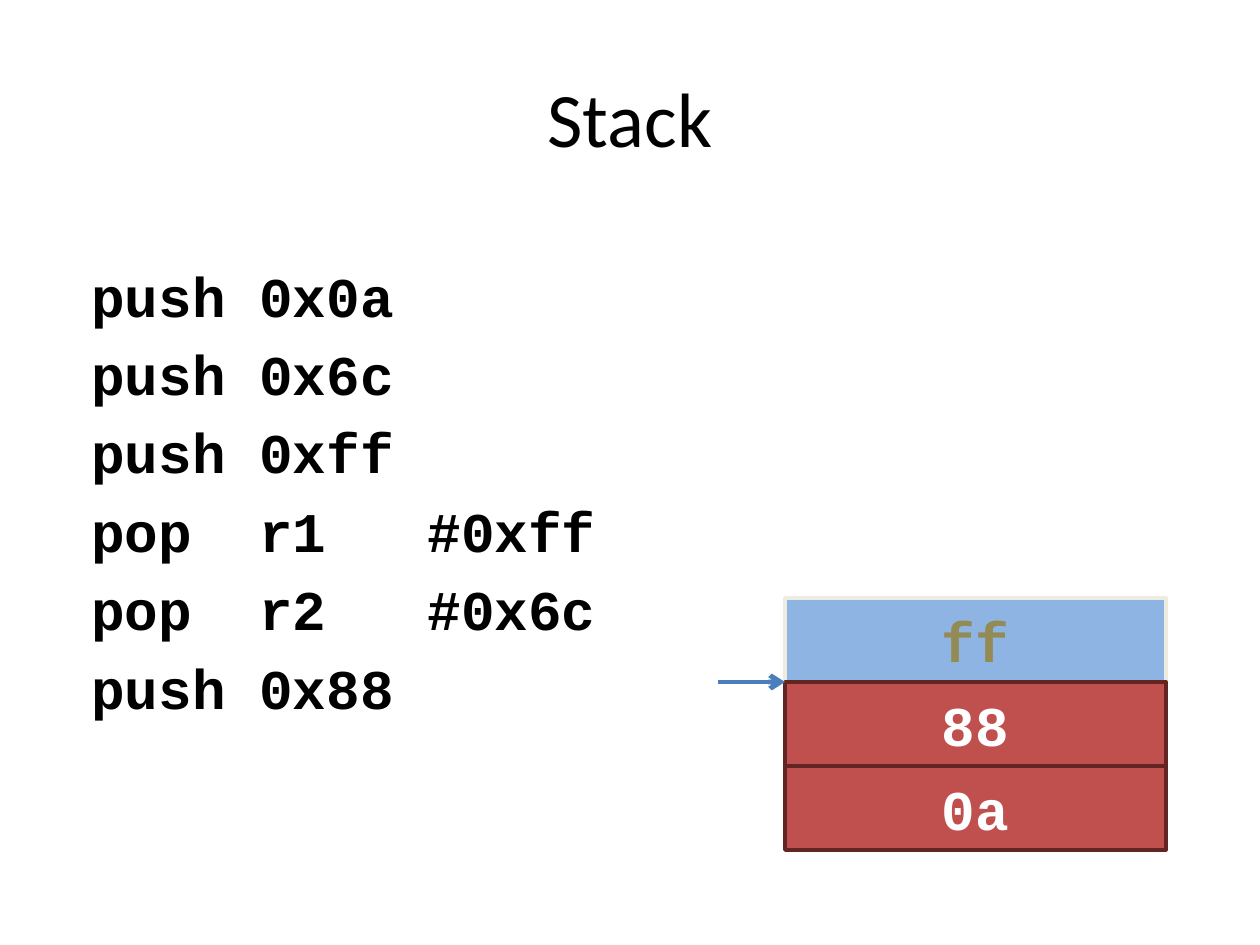
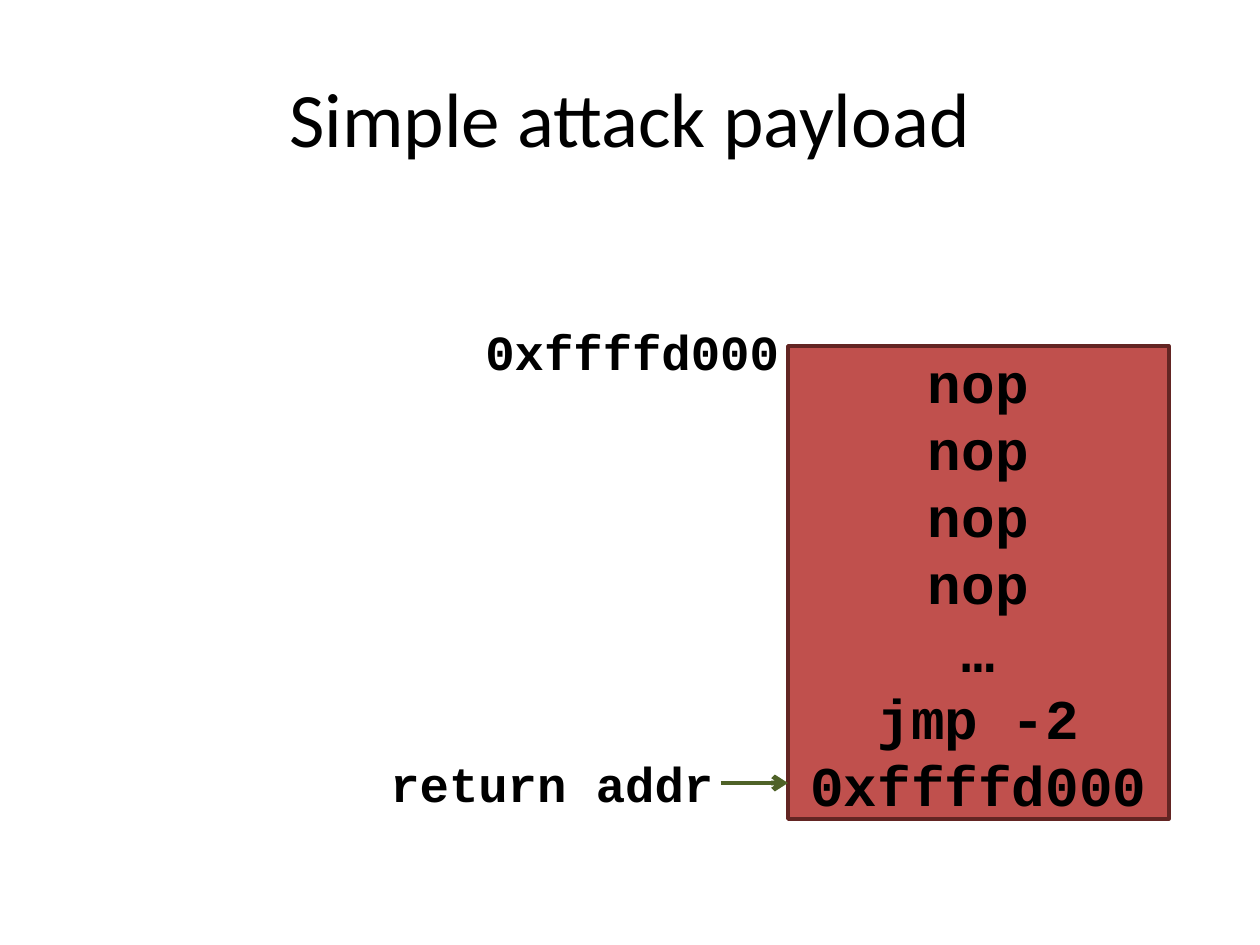
"""Build two slides on the stack and a simple attack payload."""
from dataclasses import dataclass

import pptx
import pptx.dml.color
import pptx.enum.shapes
import pptx.enum.text
import pptx.oxml.ns
import pptx.presentation
import pptx.shapes.base
import pptx.slide
import pptx.text.text
import pptx.util
from lxml import etree

ALIGN = pptx.enum.text.PP_ALIGN
ANCHOR = pptx.enum.text.MSO_ANCHOR
EMU_PER_PX = 914400 / 126
COLOURS = {
    "black": "000000",
    "white": "FFFFFF",
    "popped_fill": "8EB4E3",
    "popped_line": "EEECE1",
    "popped_text": "948A54",
    "live_fill": "C0504D",
    "live_line": "632523",
    "stack_arrow": "4B7EBC",
    "return_arrow": "4F6228",
}
CELL_WIDTH, CELL_HEIGHT = 381, 84
STACK_LEFT, STACK_TOP = 785, 598
PAYLOAD_LEFT, PAYLOAD_TOP, PAYLOAD_HEIGHT = 788, 346, 473
ARROW_LENGTH = 67
PROGRAM = """push 0x0a
push 0x6c
push 0xff
pop  r1   #0xff
pop  r2   #0x6c
push 0x88"""
PAYLOAD = "nop\nnop\nnop\nnop\n…\njmp -2\v0xffffd000"


@dataclass(frozen=True)
class Area:
    """A rectangle in px."""

    left: int
    top: int
    width: int
    height: int


@dataclass(frozen=True)
class TextStyle:
    """The look of the text in one frame."""

    size: int
    colour: str = "black"
    font: str = "Courier New"
    bold: bool = True
    align: ALIGN = ALIGN.LEFT
    anchor: ANCHOR = ANCHOR.TOP
    wrap: bool = True
    gap: float = 0
    indent: int = 0


@dataclass(frozen=True)
class Cell:
    """A filled block of memory."""

    text: str
    area: Area
    kind: str = "live"
    text_colour: str = "white"


@dataclass(frozen=True)
class Label:
    """A one-line address label."""

    text: str
    area: Area


TITLE_AREA = Area(63, 38, 1134, 157)
TITLE_STYLE = TextStyle(44, font="Calibri", bold=False, align=ALIGN.CENTER,
                        anchor=ANCHOR.MIDDLE)
PROGRAM_AREA = Area(63, 255, 577, 627)
PROGRAM_STYLE = TextStyle(32, gap=6.4, indent=16)
LABEL_STYLE = TextStyle(28, wrap=False)
STACK_CELLS = [("ff", "popped", "popped_text"), ("88", "live", "white"),
               ("0a", "live", "white")]
LABELS = [Label("0xffffd000", Area(473, 315, 321, 72)),
          Label("return addr", Area(378, 747, 352, 72))]


def px(length: int) -> pptx.util.Emu:
    """Turn px into EMU."""
    return pptx.util.Emu(round(length * EMU_PER_PX))


def colour(name: str) -> pptx.dml.color.RGBColor:
    """Look up a named colour."""
    return pptx.dml.color.RGBColor.from_string(COLOURS[name])


def bounds(area: Area) -> tuple[pptx.util.Emu, ...]:
    """Give an area in EMU."""
    return px(area.left), px(area.top), px(area.width), px(area.height)


def write(frame: pptx.text.text.TextFrame, text: str, style: TextStyle) -> None:
    """Fill a frame with text in one style."""
    frame.text = text
    frame.word_wrap = style.wrap
    frame.vertical_anchor = style.anchor
    for index, para in enumerate(frame.paragraphs):
        para.alignment = style.align
        if style.indent:
            properties = para._p.get_or_add_pPr()
            properties.set("marL", str(px(style.indent)))
            properties.set("indent", "0")
        if index and style.gap:
            para.space_before = pptx.util.Pt(style.gap)
        for span in para.runs:
            span.font.name = style.font
            span.font.size = pptx.util.Pt(style.size)
            span.font.bold = style.bold
            span.font.color.rgb = colour(style.colour)


def add_text(page: pptx.slide.Slide, text: str, area: Area,
             style: TextStyle) -> pptx.shapes.base.BaseShape:
    """Place a text box."""
    box = page.shapes.add_textbox(*bounds(area))
    write(box.text_frame, text, style)
    return box


def add_label(page: pptx.slide.Slide, label: Label) -> None:
    """Place a label that fits its text."""
    box = add_text(page, label.text, label.area, LABEL_STYLE)
    box.text_frame.auto_size = pptx.enum.text.MSO_AUTO_SIZE.SHAPE_TO_FIT_TEXT


def add_cell(page: pptx.slide.Slide, cell: Cell) -> None:
    """Draw a block of memory with its centred content."""
    box = page.shapes.add_shape(
        pptx.enum.shapes.MSO_SHAPE.RECTANGLE, *bounds(cell.area))
    box.shadow.inherit = False
    box.fill.solid()
    box.fill.fore_color.rgb = colour(f"{cell.kind}_fill")
    box.line.color.rgb = colour(f"{cell.kind}_line")
    box.line.width = pptx.util.Pt(2)
    write(box.text_frame, cell.text,
          TextStyle(32, cell.text_colour, align=ALIGN.CENTER, anchor=ANCHOR.MIDDLE))


def add_pointer(page: pptx.slide.Slide, tip: int, top: int, name: str) -> None:
    """Draw an arrow that points right to a tip."""
    arrow = page.shapes.add_connector(
        pptx.enum.shapes.MSO_CONNECTOR.STRAIGHT,
        px(tip - ARROW_LENGTH), px(top), px(tip), px(top))
    arrow.line.color.rgb = colour(name)
    arrow.line.width = pptx.util.Pt(2.75)
    head = etree.SubElement(arrow.line._get_or_add_ln(), pptx.oxml.ns.qn("a:tailEnd"))
    head.set("type", "arrow")
    etree.SubElement(arrow._element.spPr, pptx.oxml.ns.qn("a:effectLst"))


def add_page(deck: pptx.presentation.Presentation, title: str) -> pptx.slide.Slide:
    """Add a blank page with the shared title."""
    page = deck.slides.add_slide(deck.slide_layouts[6])
    add_text(page, title, TITLE_AREA, TITLE_STYLE)
    return page


def build_stack(deck: pptx.presentation.Presentation) -> None:
    """Build the page with the program and its stack."""
    page = add_page(deck, "Stack")
    add_text(page, PROGRAM, PROGRAM_AREA, PROGRAM_STYLE)
    for row, (text, kind, text_colour) in enumerate(STACK_CELLS):
        area = Area(STACK_LEFT, STACK_TOP + row * CELL_HEIGHT, CELL_WIDTH, CELL_HEIGHT)
        add_cell(page, Cell(text, area, kind, text_colour))
    add_pointer(page, STACK_LEFT, STACK_TOP + CELL_HEIGHT, "stack_arrow")


def build_payload(deck: pptx.presentation.Presentation) -> None:
    """Build the page with the attack payload."""
    page = add_page(deck, "Simple attack payload")
    area = Area(PAYLOAD_LEFT, PAYLOAD_TOP, CELL_WIDTH, PAYLOAD_HEIGHT)
    add_cell(page, Cell(PAYLOAD, area, text_colour="black"))
    for label in LABELS:
        add_label(page, label)
    add_pointer(page, PAYLOAD_LEFT, 783, "return_arrow")


def main() -> None:
    """Build and save the deck."""
    deck = pptx.Presentation()
    deck.slide_width, deck.slide_height = px(1260), px(945)
    build_stack(deck)
    build_payload(deck)
    deck.save("out.pptx")


if __name__ == "__main__":
    main()
